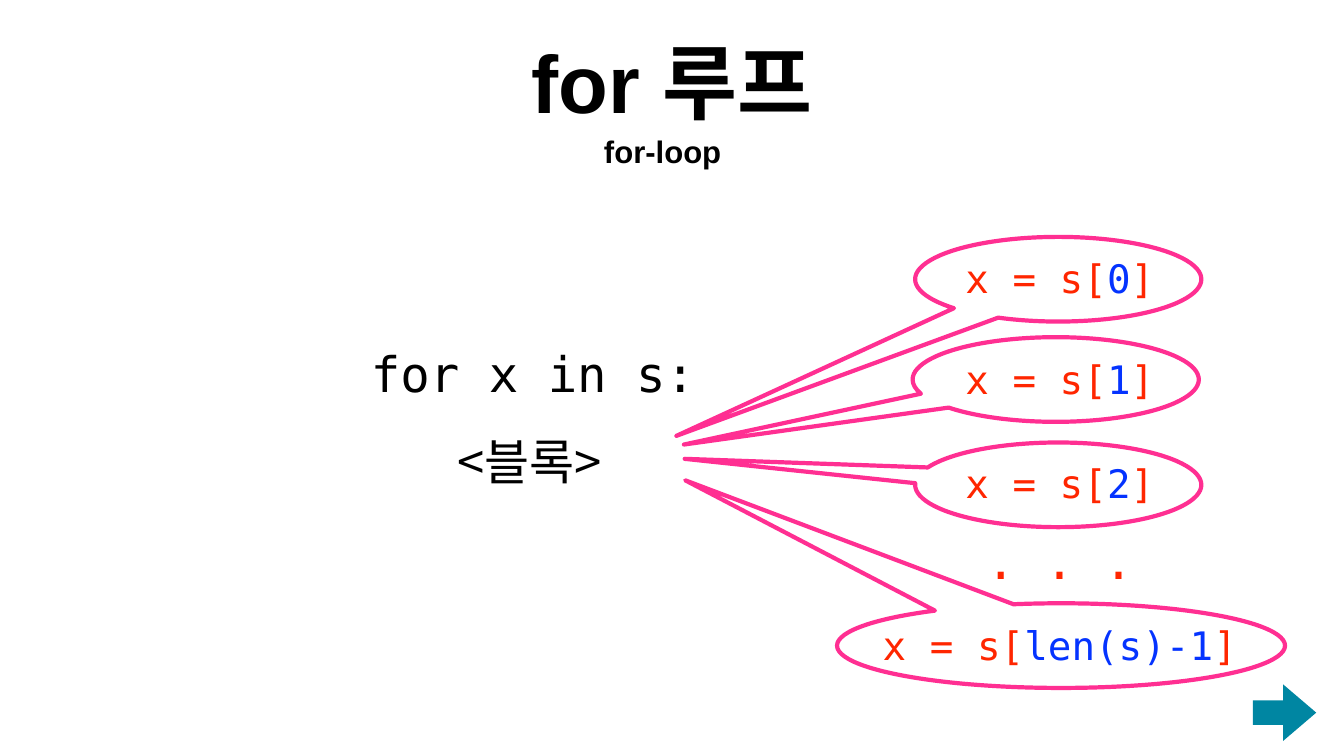
from lxml import etree
from pptx import Presentation
from pptx.dml.color import RGBColor
from pptx.enum.shapes import MSO_SHAPE as Shape
from pptx.enum.text import MSO_ANCHOR as Anchor, MSO_AUTO_SIZE as AutoSize, PP_ALIGN as Align
from pptx.oxml.ns import qn
from pptx.util import Inches, Pt

COLORS = {
    "white": "FFFFFF",
    "black": "000000",
    "code": "FF2600",
    "index": "0433FF",
    "callout": "FF2F92",
    "arrow": "0086A2",
}
HEADING_FONT = "Arial"
CODE_FONT = "DejaVu Sans Mono"
KOREAN_FONT = "Noto Sans CJK KR"

# index, text box (left, top, width), ellipse (left, top, width), pointer tip
CALLOUTS = [
    ("0", (19.07, 4.74, 3.92), (18.16, 4.7, 5.68), (-1.334, 1.85)),
    ("1", (19.07, 6.74, 3.92), (18.11, 6.69, 5.68), (-1.299, 0.768)),
    ("2", (19.07, 8.82, 3.92), (18.16, 8.78, 5.68), (-1.305, -0.307)),
    ("len(s)-1", (17.43, 12.02, 7.2), (16.61, 11.97, 8.89), (-0.839, -1.953)),
]


def color(name):
    return RGBColor.from_string(COLORS[name])


def format_run(run, font, size, color_name, bold=False):
    run.font.name = font
    run.font.size = Pt(size)
    run.font.bold = bold
    run.font.color.rgb = color(color_name)
    east_asian = etree.SubElement(run.font._element, qn("a:ea"))
    east_asian.set("typeface", KOREAN_FONT)


def add_text_box(slide, box, margin, anchor):
    shape = slide.shapes.add_textbox(*map(Inches, box))
    frame = shape.text_frame
    frame.margin_left = frame.margin_right = Inches(margin)
    frame.margin_top = frame.margin_bottom = Inches(margin)
    frame.vertical_anchor = anchor
    frame.word_wrap = False
    return shape


def add_heading(slide, text, box, size):
    shape = add_text_box(slide, box, 0.06, Anchor.BOTTOM)
    shape.fill.solid()
    shape.fill.fore_color.rgb = color("white")
    paragraph = shape.text_frame.paragraphs[0]
    paragraph.text = text
    paragraph.alignment = Align.CENTER
    format_run(paragraph.runs[0], HEADING_FONT, size, "black", bold=True)


def add_code_line(slide, parts, box, size):
    """Add one centred line of code made of (text, color) parts."""
    shape = add_text_box(slide, box, 0.08, Anchor.MIDDLE)
    shape.text_frame.auto_size = AutoSize.SHAPE_TO_FIT_TEXT
    paragraph = shape.text_frame.paragraphs[0]
    paragraph.alignment = Align.CENTER
    paragraph.line_spacing = 1.5
    for text, color_name in parts:
        run = paragraph.add_run()
        run.text = text
        format_run(run, CODE_FONT, size, color_name)


def add_loop_code(slide):
    shape = add_text_box(slide, (7.28, 6.49, 7.2, 2.98), 0.08, Anchor.MIDDLE)
    frame = shape.text_frame
    frame.word_wrap = True
    frame.auto_size = AutoSize.SHAPE_TO_FIT_TEXT
    frame.text = "for x in s:\n<블록>"
    for paragraph, font in zip(frame.paragraphs, (CODE_FONT, KOREAN_FONT)):
        paragraph.alignment = Align.LEFT
        paragraph.line_spacing = 1.5
        format_run(paragraph.runs[0], font, 70, "black")
    block_properties = frame.paragraphs[1]._p.get_or_add_pPr()
    block_properties.set("marL", str(Inches(1.72)))
    block_properties.set("indent", "0")


def add_shape(slide, kind, box, adjustments):
    shape = slide.shapes.add_shape(kind, *map(Inches, box))
    shape.shadow.inherit = False
    for position, value in enumerate(adjustments):
        shape.adjustments[position] = value
    return shape


def add_callout(slide, index, text_box, ellipse, tip):
    parts = [("x = s[", "code"), (index, "index"), ("]", "code")]
    add_code_line(slide, parts, (*text_box, 1.07), 56)
    shape = add_shape(slide, Shape.OVAL_CALLOUT, (*ellipse, 1.68), tip)
    shape.fill.background()
    shape.line.color.rgb = color("callout")
    shape.line.width = Pt(6)


def add_next_arrow(slide):
    arrow = add_shape(slide, Shape.RIGHT_ARROW, (24.86, 13.58, 1.26, 1.12), (0.435, 0.586))
    arrow.fill.solid()
    arrow.fill.fore_color.rgb = color("arrow")
    arrow.line.fill.background()


def main():
    presentation = Presentation()
    presentation.slide_width = Inches(26.67)
    presentation.slide_height = Inches(15)
    slide = presentation.slides.add_slide(presentation.slide_layouts[6])

    add_heading(slide, "for-loop", (11.82, 2.07, 2.66, 1.36), 44.4)
    add_heading(slide, "for 루프", (10.24, 0.48, 6.2, 2.16), 116.4)
    add_next_arrow(slide)
    add_loop_code(slide)
    for callout in CALLOUTS:
        add_callout(slide, *callout)
    add_code_line(slide, [(". . .", "code")], (19.48, 10.16, 3.1, 1.3), 70)

    presentation.save("out.pptx")


if __name__ == "__main__":
    main()
